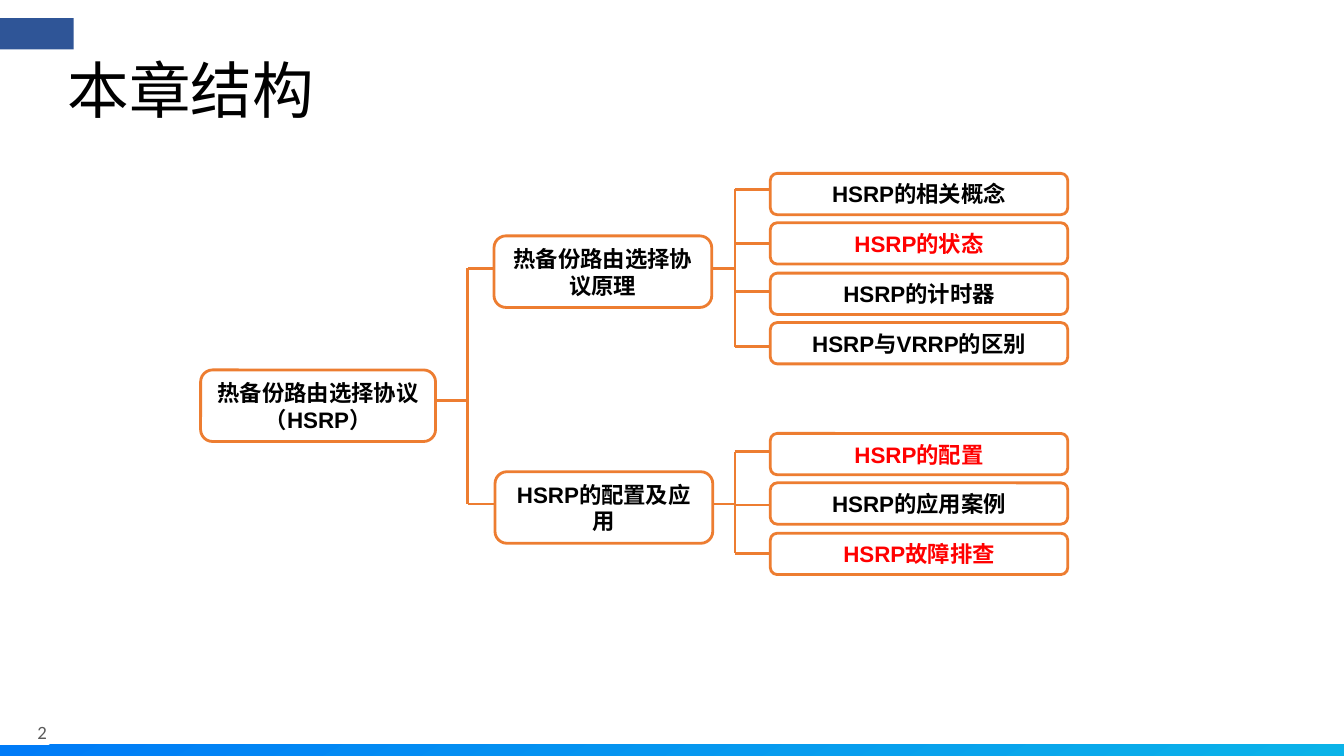
from dataclasses import dataclass

from lxml.etree import SubElement
from pptx import Presentation
from pptx.dml.color import RGBColor as Color
from pptx.enum.shapes import MSO_CONNECTOR as Link, MSO_SHAPE as Kind
from pptx.enum.text import MSO_ANCHOR as Anchor, PP_ALIGN as Align
from pptx.oxml.ns import qn
from pptx.util import Pt

SCALE = 9144


@dataclass(frozen=True)
class Theme:
    ink: str = "000000"
    key: str = "FF0000"
    line: str = "ED7D31"
    paper: str = "FFFFFF"
    tab: str = "2F5597"
    grey: str = "5A5A5A"
    left: str = "007BF7"
    right: str = "0BB3E8"
    head: float = 44
    body: float = 16
    small: float = 13.4
    font: str = "Arial"
    plain: str = "Calibri"


THEME = Theme()
ROOT = "热备份路由选择协议（HSRP）"
TREE = [
    ("热备份路由选择协议原理", 490, 234, 266, 172, [
        ("HSRP的相关概念", 188, False),
        ("HSRP的状态", 242, True),
        ("HSRP的计时器", 289, False),
        ("HSRP与VRRP的区别", 344, False),
    ]),
    ("HSRP的配置及应用", 491, 468, 500, 430, [
        ("HSRP的配置", 448, True),
        ("HSRP的应用案例", 501, False),
        ("HSRP故障排查", 549, True),
    ]),
]
STEM, TRUNK, LEAF = 464, 729, 764


def px(*sizes):
    return [size * SCALE for size in sizes]


def rgb(code):
    return Color.from_string(code)


def style(frame, text, size, color, font, bold=False):
    frame.text = text
    frame.word_wrap = True
    frame.vertical_anchor = Anchor.MIDDLE
    for run in frame.paragraphs[0].runs:
        run.font.size = Pt(size)
        run.font.name = font
        run.font.bold = bold
        run.font.color.rgb = rgb(color)


def add_text(slide, spot, text, size, color, font):
    frame = slide.shapes.add_textbox(*px(*spot)).text_frame
    frame.margin_left = frame.margin_right = 0
    frame.margin_top = frame.margin_bottom = 0
    style(frame, text, size, color, font)
    return frame.paragraphs[0]


def add_bar(slide, spot):
    bar = slide.shapes.add_shape(Kind.RECTANGLE, *px(*spot))
    bar.shadow.inherit = False
    bar.line.fill.background()
    return bar.fill


def add_box(slide, spot, text, key=False):
    box = slide.shapes.add_shape(Kind.ROUNDED_RECTANGLE, *px(*spot))
    box.shadow.inherit = False
    box.fill.solid()
    box.fill.fore_color.rgb = rgb(THEME.paper)
    box.line.color.rgb = rgb(THEME.line)
    box.line.width = Pt(2)
    color = THEME.key if key else THEME.ink
    style(box.text_frame, text, THEME.body, color, THEME.font, True)
    box.text_frame.paragraphs[0].alignment = Align.CENTER


def add_line(slide, *ends):
    line = slide.shapes.add_connector(Link.STRAIGHT, *px(*ends))
    line.line.color.rgb = rgb(THEME.line)
    line.line.width = Pt(2)
    SubElement(line._element.spPr, qn("a:effectLst"))


def add_frame(slide):
    fill = add_bar(slide, (0, 739, 1333, 13))
    fill.gradient()
    fill.gradient_angle = 300
    for stop, place, code in zip(fill.gradient_stops, (0, 1),
                                 (THEME.left, THEME.right)):
        stop.position = place
        stop.color.rgb = rgb(code)
    fill = add_bar(slide, (0, 18, 73, 31))
    fill.solid()
    fill.fore_color.rgb = rgb(THEME.tab)
    add_text(slide, (37, 715, 74, 22), "2",
             THEME.small, THEME.grey, THEME.plain)
    title = add_text(slide, (67, 30, 1200, 125), "本章结构",
                     THEME.head, THEME.ink, THEME.font)
    title.line_spacing = 0.9


def add_branch(slide, name, left, top, mid, first, leaves):
    add_line(slide, STEM, mid, TRUNK, mid)
    add_line(slide, TRUNK, leaves[0][1], TRUNK, leaves[-1][1])
    add_box(slide, (left, top, 216, 71), name)
    for row, (text, level, key) in enumerate(leaves):
        add_line(slide, TRUNK, level, LEAF + 4, level)
        add_box(slide, (LEAF, first + row * 99 // 2, 295, 41), text, key)


def main():
    deck = Presentation()
    deck.slide_width, deck.slide_height = px(1333, 750)
    slide = deck.slides.add_slide(deck.slide_layouts[6])
    add_frame(slide)
    add_line(slide, 416, 397, STEM, 397)
    add_line(slide, STEM, TREE[0][3], STEM, TREE[-1][3])
    add_box(slide, (199, 367, 233, 71), ROOT)
    for branch in TREE:
        add_branch(slide, *branch)
    deck.save("out.pptx")


if __name__ == "__main__":
    main()
